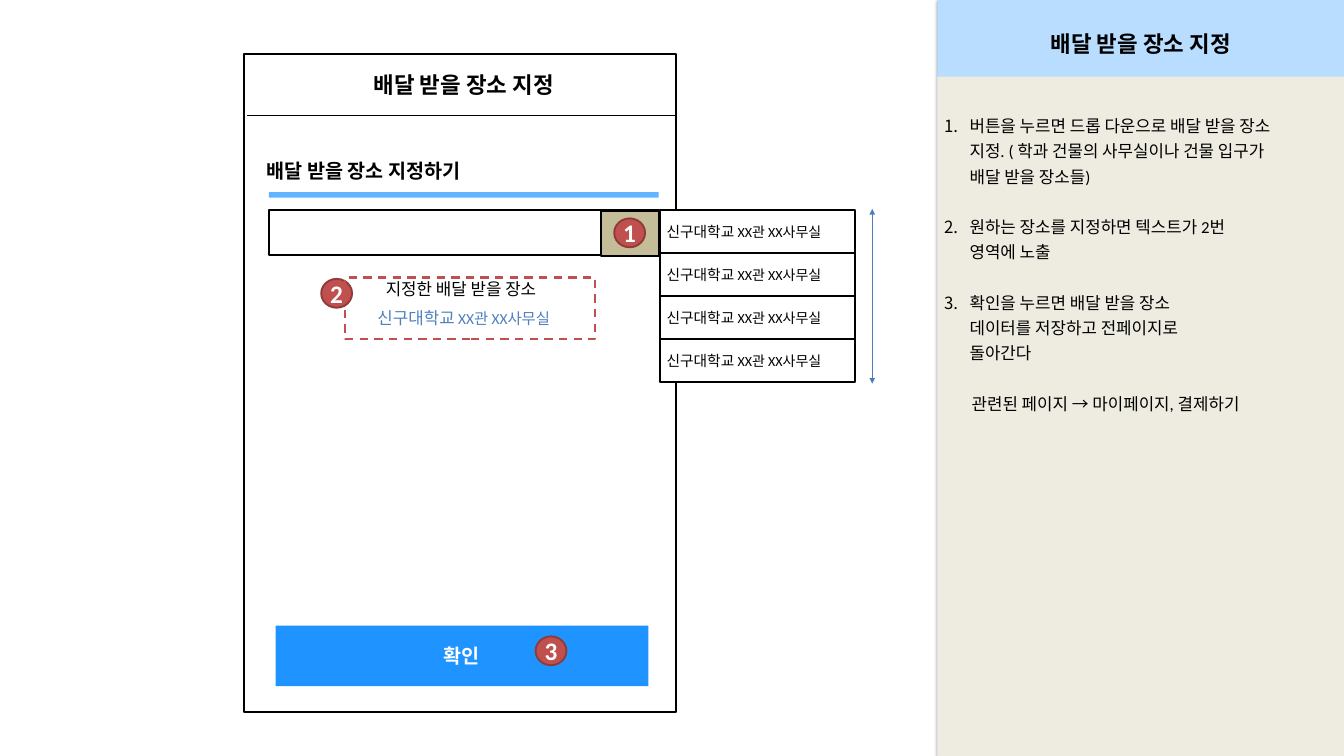
from lxml import etree
from pptx import Presentation
from pptx import util as u
from pptx.dml.color import RGBColor
from pptx.enum import dml, shapes, text
from pptx.oxml.ns import qn

RECT = shapes.MSO_SHAPE.RECTANGLE
OVAL = shapes.MSO_SHAPE.OVAL
LEFT, MID = text.PP_ALIGN.LEFT, text.PP_ALIGN.CENTER
rgb = RGBColor.from_string

deck = Presentation()
deck.slide_width, deck.slide_height = u.Inches(20), u.Inches(11.25)
slide = deck.slides.add_slide(deck.slide_layouts[6])


def box(at, fill=None, line=None, width=2, kind=RECT):
    """Add a shape at (left, top, width, height) in inches."""
    shp = slide.shapes.add_shape(kind, *map(u.Inches, at))
    shp.shadow.inherit = False
    for part, hue in ((shp.fill, fill), (shp.line.fill, line)):
        if hue:
            part.solid()
            part.fore_color.rgb = rgb(hue)
        else:
            part.background()
    if line:
        shp.line.width = u.Pt(width)
    return shp


def write(para, parts, align=LEFT, bold=False):
    """Fill a paragraph with (text, size, colour) parts."""
    para.alignment = align
    for words, size, hue in parts:
        for n, row in enumerate(words.split("\n")):
            if n:
                para.add_line_break()
            run = para.add_run()
            run.text = row
            look = {"name": "Calibri", "size": u.Pt(size), "bold": bold}
            for key, val in look.items():
                setattr(run.font, key, val)
            run.font.color.rgb = rgb(hue)


# Side panel: title band with a soft shadow, then the notes area
band = box((13.95, 0, 6.05, 11.25), "B8DDFF")
glow = etree.SubElement(band._element.spPr.find(qn("a:effectLst")), qn("a:outerShdw"),
                        blurRad=str(u.Pt(3.1)), dist=str(u.Pt(1.6)), dir="5400000",
                        rotWithShape="0")
tint = etree.SubElement(glow, qn("a:srgbClr"), val="000000")
etree.SubElement(tint, qn("a:alpha"), val="38000")
band.text_frame.vertical_anchor = text.MSO_ANCHOR.TOP
title = band.text_frame.paragraphs[0]
title.line_spacing = 2.0
write(title, [("배달 받을 장소 지정", 24, "000000")], MID, True)

panel = box((13.95, 1.14, 6.05, 10.11), "EEECE1")
frame = panel.text_frame
frame.vertical_anchor = text.MSO_ANCHOR.TOP
frame.margin_top = u.Inches(0.51)
notes = [
    "버튼을 누르면 드롭 다운으로 배달 받을 장소\n지정. ( 학과 건물의 사무실이나 건물 입구가\n배달 받을 장소들)",
    "원하는 장소를 지정하면 텍스트가 2번\n영역에 노출",
    "확인을 누르면 배달 받을 장소\n데이터를 저장하고 전페이지로\n돌아간다",
    "관련된 페이지 → 마이페이지, 결제하기",
]
for n, note in enumerate(notes, 1):
    para = frame.paragraphs[0] if n == 1 else frame.add_paragraph()
    props = para._p.get_or_add_pPr()
    if n < len(notes):
        props.set("marL", str(u.Inches(0.38)))
        props.set("indent", str(u.Inches(-0.38)))
        etree.SubElement(props, qn("a:buFont"), typeface="+mj-lt")
        etree.SubElement(props, qn("a:buAutoNum"), type="arabicPeriod", startAt=str(n))
    else:
        props.set("marL", str(u.Inches(0.41)))
        props.set("indent", "0")
    para.line_spacing = u.Pt(27)
    if n > 1:
        para.space_before = u.Pt(27)
    write(para, [(note, 18, "000000")])

# Phone screen
button = box((4.1, 9.31, 5.55, 0.9), "1F93FF")
write(button.text_frame.paragraphs[0], [("확인", 21, "FFFFFF")], MID, True)
box((3.63, 0.81, 6.43, 9.79), None, "000000")

# Lines: header rule and the height of the drop-down
for x, y, x2, y2, hue, ends in (
    (3.68, 1.72, 10.08, 1.72, "000000", ()),
    (12.98, 3.11, 12.98, 5.71, "4B7EBC", ("a:headEnd", "a:tailEnd")),
):
    rule = slide.shapes.add_connector(shapes.MSO_CONNECTOR.STRAIGHT,
                                      *map(u.Inches, (x, y, x2, y2)))
    rule.line.color.rgb = rgb(hue)
    rule.line.width = u.Pt(0.75)
    for end in ends:
        etree.SubElement(rule.line._get_or_add_ln(), qn(end), type="triangle")
    etree.SubElement(rule._element.spPr, qn("a:effectLst"))

# Search field with its button, and the drop-down rows
box((4, 3.13, 5.81, 0.66), "FFFFFF", "000000")
box((8.94, 3.14, 0.87, 0.67), "C4BD97", "000000")
place, room = "신구대학교", " XX관 XX사무실"
for n in range(4):
    row = box((9.82, 3.13 + 0.64 * n, 2.91, 0.64), "FFFFFF", "000000")
    write(row.text_frame.paragraphs[0], [(place, 15.8, "000000"), (room, 15, "000000")])

# Labels
for at, parts, align, bold in (
    ((5.34, 1.01, 3.12, 0.5), [("배달 받을 장소 지정", 24, "000000")], MID, True),
    ((3.87, 2.31, 5.9, 0.45), [("배달 받을 장소 지정하기", 21, "000000")], LEFT, True),
    ((3.95, 4.1, 5.82, 0.4), [("지정한 배달 받을 장소", 18, "000000")], MID, False),
    ((3.95, 4.53, 5.9, 0.4), [(place, 18, "4F81BD"), (room, 16.5, "4F81BD")], MID, False),
):
    label = slide.shapes.add_textbox(*map(u.Inches, at))
    label.text_frame.word_wrap = True
    write(label.text_frame.paragraphs[0], parts, align, bold)
box((4, 2.86, 5.8, 0.08), "63B4FF")

# Numbered badges
for n, (x, y) in enumerate(((9.14, 3.25), (4.78, 4.15), (7.97, 9.47)), 1):
    badge = box((x, y, 0.46, 0.43), "C0504D", "8E3B39", kind=OVAL)
    frame = badge.text_frame
    frame.word_wrap = False
    for side in ("left", "right", "top", "bottom"):
        setattr(frame, "margin_" + side, 0)
    write(frame.paragraphs[0], [(str(n), 27, "FFFFFF")], MID, True)

area = box((5.14, 4.13, 3.72, 0.92), None, "C0504D", 2.25)
area.line.dash_style = dml.MSO_LINE.DASH

deck.save("out.pptx")
